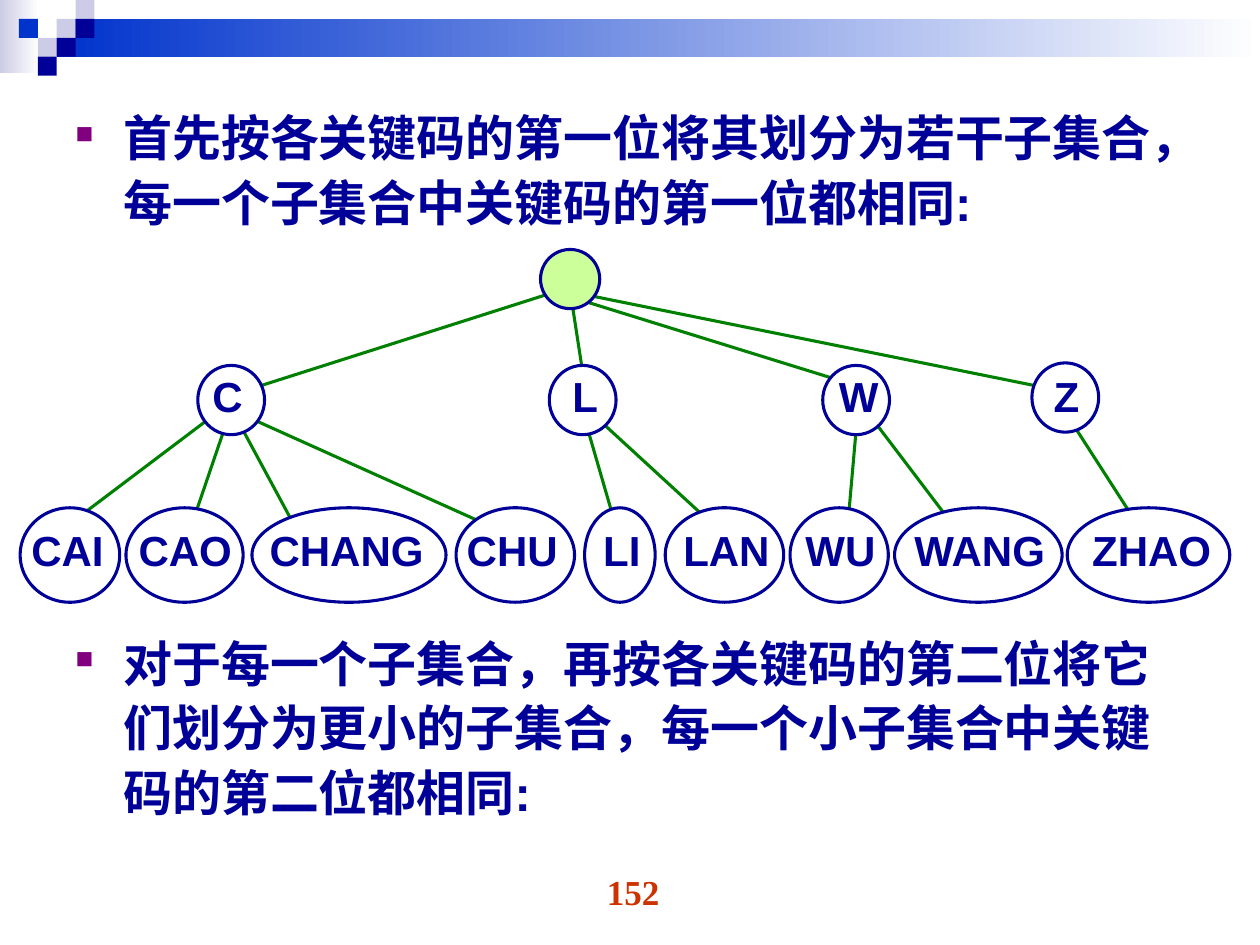
from lxml.etree import SubElement
from pptx import Presentation
from pptx.dml.color import RGBColor
from pptx.enum.shapes import MSO_CONNECTOR, MSO_SHAPE
from pptx.enum.text import PP_ALIGN
from pptx.oxml.ns import qn
from pptx.util import Pt

PX = 9144  # EMU per px, 100 px to the inch
COLORS = {
    "navy": "000099",
    "blue": "0033CC",
    "lavender": "CCCCE6",
    "white": "FFFFFF",
    "green": "008000",
    "lime": "CCFF99",
    "purple": "800080",
    "red": "CC3300",
}

SQUARE = 15
# Column and row on the header grid, colour
SQUARES = [
    (3, 1, "lavender"), (4, 0, "lavender"), (4, 1, "navy"),
    (2, 2, "lavender"), (1, 1, "blue"), (3, 2, "navy"), (2, 3, "navy"),
]

# Key, ellipse left, ellipse width, label left, label width
LEAVES = [
    ("CAI", 16, 79, 8, 91),
    ("CAO", 100, 93, 90, 114),
    ("CHANG", 200, 154, 184, 182),
    ("CHU", 362, 94, 349, 115),
    ("LI", 464, 56, 448, 91),
    ("LAN", 528, 94, 519, 115),
    ("WU", 627, 78, 614, 106),
    ("WANG", 710, 133, 697, 161),
    ("ZHAO", 847, 129, 843, 142),
]
# Letter, circle left, circle top, label left
BRANCHES = [
    ("C", 157, 92, 145), ("L", 436, 92, 429),
    ("W", 653, 92, 646), ("Z", 819, 90, 811),
]
# Start and end of every edge, hidden behind the nodes at both ends
EDGES = [
    # Root to first letters
    (449, 31, 201, 110), (453, 36, 465, 114),
    (457, 39, 673, 106), (465, 36, 831, 110),
    # C
    (177, 126, 63, 212), (185, 122, 153, 216),
    (177, 114, 232, 216), (181, 126, 390, 220),
    # L
    (457, 110, 488, 217), (461, 122, 559, 212),
    # W
    (681, 126, 673, 217), (689, 130, 752, 213),
    # Z
    (846, 130, 902, 217),
]


def rgb(name):
    return RGBColor.from_string(COLORS[name])


def emu(*lengths):
    return [length * PX for length in lengths]


def add_text(slide, box, text, size=24, font="Arial", color="navy",
             align=PP_ALIGN.CENTER, spacing=None, bullet=None):
    frame = slide.shapes.add_textbox(*emu(*box)).text_frame
    frame.word_wrap = True
    paragraph = frame.paragraphs[0]
    paragraph.alignment = align
    if spacing:
        paragraph.line_spacing = spacing
    if bullet:
        properties = paragraph._p.get_or_add_pPr()
        indent = 38 * PX
        properties.set("marL", str(indent))
        properties.set("indent", str(-indent))
        bullet_color = SubElement(properties, qn("a:buClr"))
        SubElement(bullet_color, qn("a:srgbClr"), val=COLORS["purple"])
        SubElement(properties, qn("a:buSzPct"), val="50000")
        SubElement(properties, qn("a:buChar"), char=bullet)
    run = paragraph.add_run()
    run.text = text
    run.font.name = font
    run.font.size = Pt(size)
    run.font.bold = True
    run.font.color.rgb = rgb(color)


def add_rect(slide, box, color, fade_to=None):
    rect = slide.shapes.add_shape(MSO_SHAPE.RECTANGLE, *emu(*box))
    rect.shadow.inherit = False
    rect.line.fill.background()
    if fade_to:
        rect.fill.gradient()
        rect.fill.gradient_angle = 0
        for stop, name in zip(rect.fill.gradient_stops, (color, fade_to)):
            stop.color.rgb = rgb(name)
    else:
        rect.fill.solid()
        rect.fill.fore_color.rgb = rgb(color)


def add_node(slide, box, color="white"):
    node = slide.shapes.add_shape(MSO_SHAPE.OVAL, *emu(*box))
    node.shadow.inherit = False
    node.fill.solid()
    node.fill.fore_color.rgb = rgb(color)
    node.line.color.rgb = rgb("navy")
    node.line.width = Pt(1.75)


def add_edge(slide, *ends):
    edge = slide.shapes.add_connector(MSO_CONNECTOR.STRAIGHT, *emu(*ends))
    edge.line.color.rgb = rgb("green")
    edge.line.width = Pt(1.75)
    SubElement(edge._element.spPr, qn("a:effectLst"))


def add_header(slide, box):
    left, top, width, height = box
    add_rect(slide, (left, top, 31, height), "lavender", "white")
    band_left = 3 * SQUARE
    add_rect(slide, (left + band_left, top + SQUARE, width - band_left, 2 * SQUARE),
             "blue", "white")
    for column, row, color in SQUARES:
        add_rect(slide, (left + column * SQUARE, top + row * SQUARE, SQUARE, SQUARE), color)


def add_point(slide, box, text):
    add_text(slide, box, text, size=28, align=PP_ALIGN.LEFT, spacing=1.1, bullet="■")


def add_tree(slide, box):
    left, top = box[:2]
    # Edges lie behind the nodes
    for x1, y1, x2, y2 in EDGES:
        add_edge(slide, left + x1, top + y1, left + x2, top + y2)
    # Whole keys
    for key, x, width, label_x, label_width in LEAVES:
        add_node(slide, (left + x, top + 205, width, 75))
        add_text(slide, (left + label_x, top + 213, label_width, 50), key)
    # Root and first letters
    add_node(slide, (left + 429, top, 47, 47), "lime")
    for letter, x, y, label_x in BRANCHES:
        add_node(slide, (left + x, top + y, 53, 55))
        add_text(slide, (left + label_x, top + 91, 71, 50), letter)


def main():
    deck = Presentation()
    deck.slide_width, deck.slide_height = emu(1000, 750)
    slide = deck.slides.add_slide(deck.slide_layouts[6])

    add_header(slide, (0, 0, 1000, 58))
    add_text(slide, (386, 686, 233, 52), "152", size=20,
             font="Times New Roman", color="red")
    add_point(slide, (50, 76, 900, 115),
              "首先按各关键码的第一位将其划分为若干子集合，每一个子集合中关键码的第一位都相同:")
    add_point(slide, (50, 493, 900, 170),
              "对于每一个子集合，再按各关键码的第二位将它们划分为更小的子集合，"
              "每一个小子集合中关键码的第二位都相同:")
    add_tree(slide, (0, 198, 1000, 280))

    deck.save("out.pptx")


if __name__ == "__main__":
    main()
